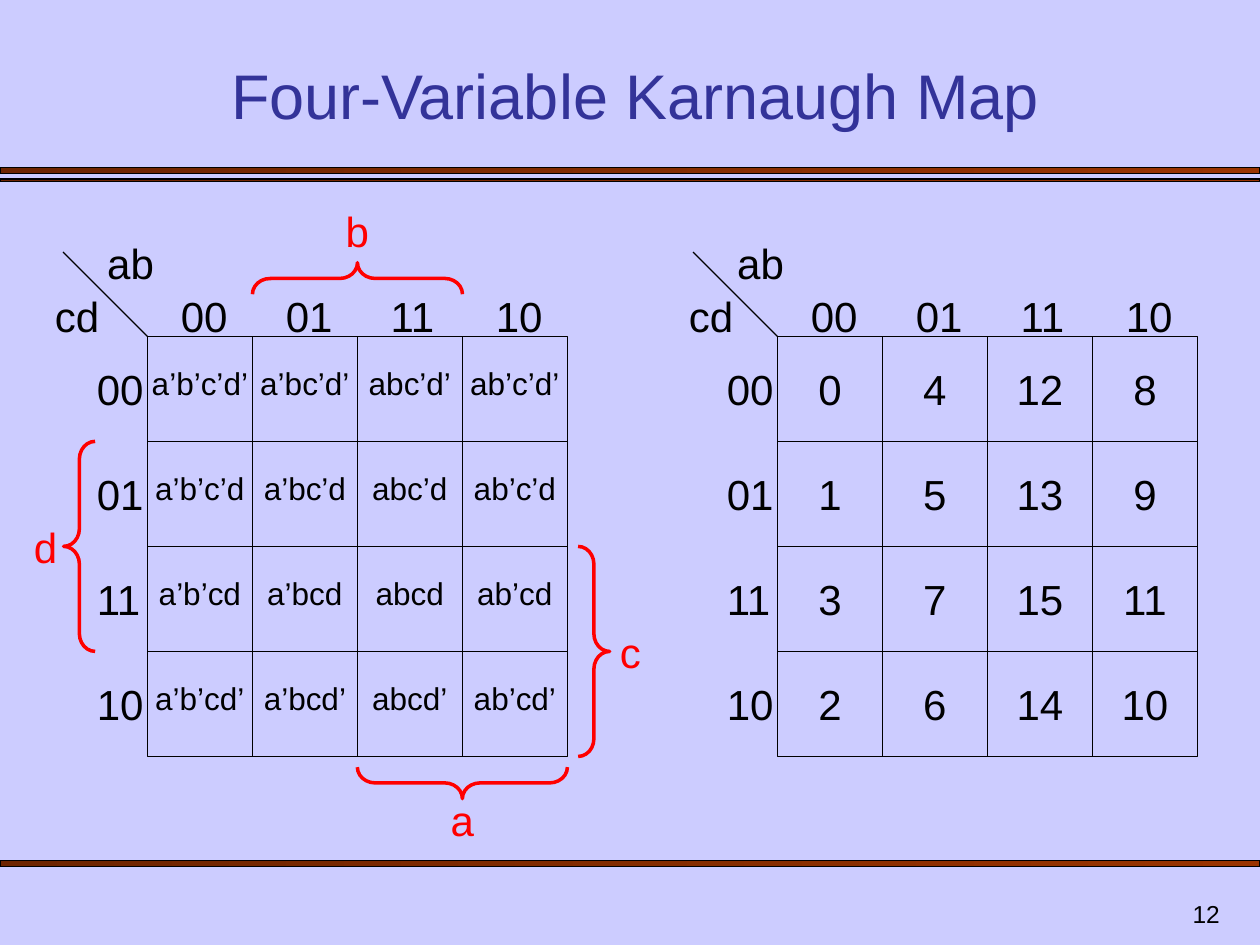
from lxml.etree import SubElement
from pptx import Presentation
from pptx.dml.color import RGBColor
from pptx.enum.shapes import MSO_CONNECTOR, MSO_SHAPE
from pptx.enum.text import MSO_ANCHOR, PP_ALIGN
from pptx.oxml.ns import qn
from pptx.util import Inches, Pt

LAVENDER = RGBColor(0xCC, 0xCC, 0xFF)
INDIGO = RGBColor(0x33, 0x33, 0x99)
DARK_BROWN = RGBColor(0x6D, 0x24, 0x00)
BROWN = RGBColor(0x99, 0x33, 0x00)
BLACK = RGBColor(0, 0, 0)
RED = RGBColor(0xFF, 0, 0)

CELL = Inches(5 / 6)
GRAY_CODE = ["00", "01", "11", "10"]
MINTERMS = [
    ["a’b’c’d’", "a’bc’d’", "abc’d’", "ab’c’d’"],
    ["a’b’c’d", "a’bc’d", "abc’d", "ab’c’d"],
    ["a’b’cd", "a’bcd", "abcd", "ab’cd"],
    ["a’b’cd’", "a’bcd’", "abcd’", "ab’cd’"],
]
MINTERM_NUMBERS = [
    ["0", "4", "12", "8"],
    ["1", "5", "13", "9"],
    ["3", "7", "15", "11"],
    ["2", "6", "14", "10"],
]


def add_text(shapes, text, left, top, width, height=Inches(0.5), *, size=24,
             color=BLACK, align=PP_ALIGN.LEFT, anchor=MSO_ANCHOR.TOP):
    frame = shapes.add_textbox(left, top, width, height).text_frame
    frame.word_wrap = True
    frame.vertical_anchor = anchor
    paragraph = frame.paragraphs[0]
    paragraph.alignment = align
    run = paragraph.add_run()
    run.text = text
    run.font.name = "Arial"
    run.font.size = Pt(size)
    run.font.color.rgb = color


def add_outline(shapes, preset, left, top, width, height, color=BLACK, weight=0.75):
    """Add an unfilled preset shape."""
    shape = shapes.add_shape(preset, left, top, width, height)
    shape.shadow.inherit = False
    shape.fill.background()
    shape.line.color.rgb = color
    shape.line.width = Pt(weight)
    return shape


def add_rule(shapes, top, height):
    """Add a brown gradient bar across the slide."""
    bar = add_outline(shapes, MSO_SHAPE.RECTANGLE, 0, top, Inches(10), height)
    bar.fill.gradient()
    bar.fill.gradient_angle = 0
    for stop, color in zip(bar.fill.gradient_stops, (DARK_BROWN, BROWN)):
        stop.color.rgb = color


def add_frame(shapes):
    """Add the title, the rules and the slide number."""
    add_rule(shapes, Inches(1.33), Inches(0.05))
    add_rule(shapes, Inches(1.42), Inches(0.02))
    add_rule(shapes, Inches(6.83), Inches(0.05))
    add_text(shapes, "12", Inches(7.7), Inches(7), Inches(2.08), Inches(0.42),
             size=14, align=PP_ALIGN.RIGHT, anchor=MSO_ANCHOR.BOTTOM)
    add_text(shapes, "Four-Variable Karnaugh Map", Inches(0.58), Inches(0.42),
             Inches(8.92), Inches(0.68), size=36, color=INDIGO,
             align=PP_ALIGN.CENTER, anchor=MSO_ANCHOR.BOTTOM)


def add_karnaugh_map(slide_shapes, left, top, values, *, value_size, value_width,
                     cd_width, cd_align):
    """Add a grouped map whose grid starts at left, top."""
    shapes = slide_shapes.add_group_shape().shapes
    corner = Inches(0.67)
    diagonal = shapes.add_connector(MSO_CONNECTOR.STRAIGHT, left - corner,
                                    top - corner, left, top)
    diagonal.line.color.rgb = BLACK
    diagonal.line.width = Pt(0.75)
    SubElement(diagonal._element.spPr, qn("a:effectLst"))

    header_top = top - CELL // 2
    add_text(shapes, "ab", left - CELL // 2, top - CELL, Inches(0.67))
    add_text(shapes, "cd", left - CELL, header_top, cd_width, align=cd_align)

    inset = CELL // 5
    for index, code in enumerate(GRAY_CODE):
        offset = index * CELL + inset
        add_text(shapes, code, left + offset, header_top, Inches(0.6))
        add_text(shapes, code, left - Inches(0.5), top + offset, Inches(0.6))

    for row, row_values in enumerate(values):
        for column, value in enumerate(row_values):
            cell_left, cell_top = left + column * CELL, top + row * CELL
            add_outline(shapes, MSO_SHAPE.RECTANGLE, cell_left, cell_top, CELL, CELL)
            add_text(shapes, value, cell_left + (CELL - value_width) // 2,
                     cell_top + inset, value_width, Inches(value_size / 48),
                     size=value_size, align=PP_ALIGN.CENTER)


def add_variable_brace(shapes, name, center_x, center_y, rotation, label_left,
                       label_top, align=PP_ALIGN.CENTER):
    """Add a red brace spanning two cells, and the variable it stands for."""
    width, height = Inches(0.25), 2 * CELL
    brace = add_outline(shapes, MSO_SHAPE.LEFT_BRACE, center_x - width // 2,
                        center_y - height // 2, width, height, RED, 2)
    brace.adjustments[0] = 0.56
    brace.rotation = rotation
    add_text(shapes, name, label_left, label_top, Inches(0.5), color=RED, align=align)


def add_variable_braces(shapes, left, top):
    """Add the four braces around the grid that starts at left, top."""
    right, bottom = left + 4 * CELL, top + 4 * CELL
    half_label = Inches(0.25)
    gap = Inches(0.21)
    b_x, a_x = left + 2 * CELL, left + 3 * CELL
    d_y, c_y = top + 2 * CELL, top + 3 * CELL
    add_variable_brace(shapes, "b", b_x, top - Inches(0.46), 90,
                       b_x - half_label, Inches(1.58))
    add_variable_brace(shapes, "a", a_x, bottom + gap, 270,
                       a_x - half_label, bottom + half_label)
    add_variable_brace(shapes, "c", right + gap, c_y, 180,
                       right + half_label, c_y - half_label)
    add_variable_brace(shapes, "d", left - Inches(0.54), d_y, 0,
                       left - Inches(1), d_y - half_label, PP_ALIGN.LEFT)


def main():
    presentation = Presentation()
    presentation.slide_width, presentation.slide_height = Inches(10), Inches(7.5)
    slide = presentation.slides.add_slide(presentation.slide_layouts[6])
    slide.background.fill.solid()
    slide.background.fill.fore_color.rgb = LAVENDER

    add_frame(slide.shapes)
    map_left, map_top = Inches(1.17), Inches(2.67)
    add_karnaugh_map(slide.shapes, map_left, map_top, MINTERMS, value_size=18,
                     value_width=Inches(1), cd_width=Inches(0.67),
                     cd_align=PP_ALIGN.LEFT)
    add_variable_braces(slide.shapes, map_left, map_top)
    add_karnaugh_map(slide.shapes, map_left + Inches(5), map_top, MINTERM_NUMBERS,
                     value_size=24, value_width=CELL, cd_width=Inches(0.58),
                     cd_align=PP_ALIGN.RIGHT)
    presentation.save("out.pptx")


if __name__ == "__main__":
    main()
